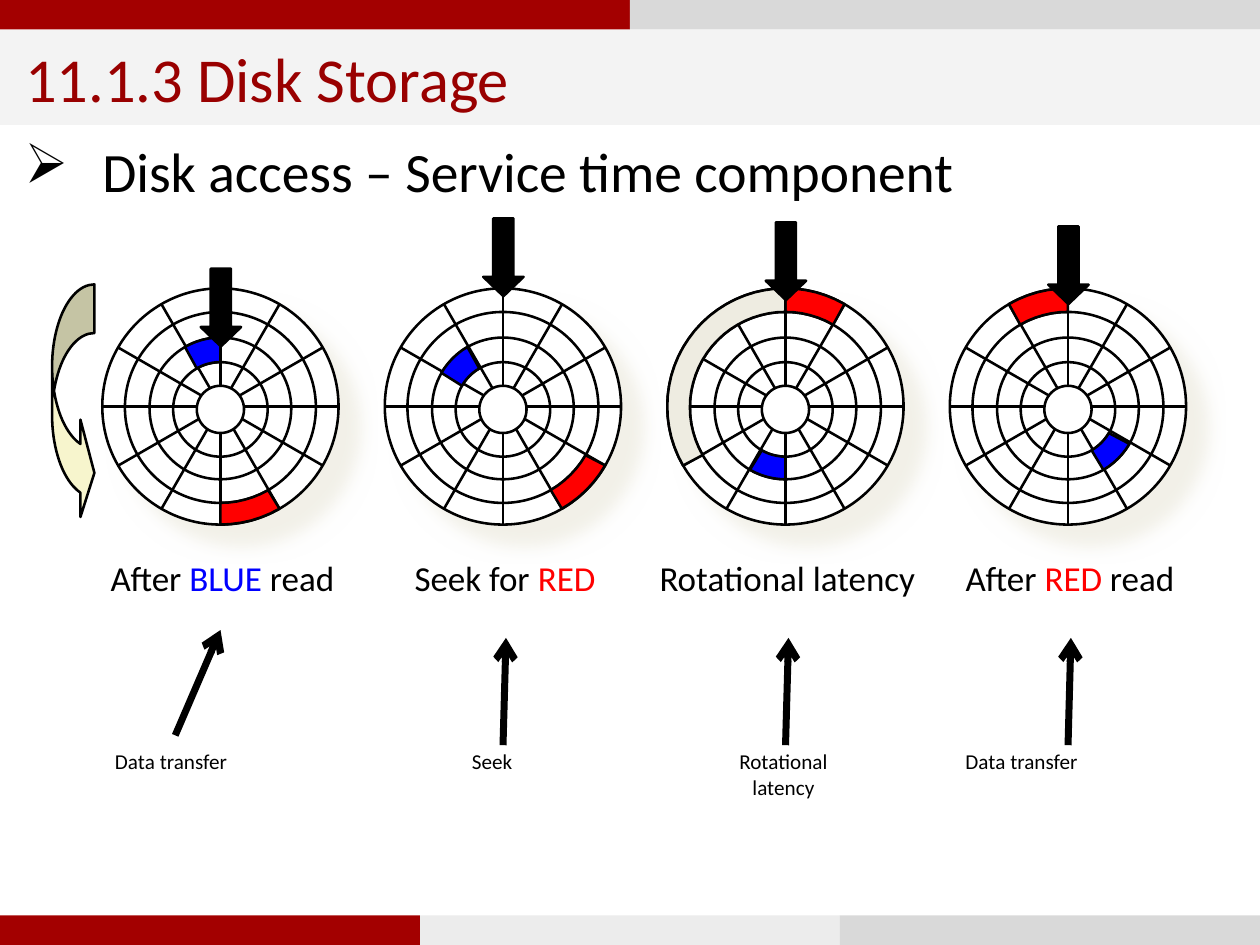
from math import cos, radians, sin

from lxml import etree
from pptx import Presentation
from pptx.dml.color import RGBColor
from pptx.enum import shapes, text
from pptx.oxml import parse_xml
from pptx.oxml.ns import qn
from pptx.util import Cm, Pt

DARK = RGBColor(0xA3, 0x00, 0x00)
TITLE = RGBColor(0x99, 0x00, 0x00)
BAND = RGBColor(0xF3, 0xF3, 0xF3)
GREY = RGBColor(0xD9, 0xD9, 0xD9)
PALE = RGBColor(0xEC, 0xEC, 0xEC)
CREAM = RGBColor(0xF7, 0xF5, 0xCD)
TAN = RGBColor(0xEE, 0xEC, 0xE1)
WHITE = RGBColor(0xFF, 0xFF, 0xFF)
BLACK = RGBColor(0x00, 0x00, 0x00)
RED = RGBColor(0xFF, 0x00, 0x00)
BLUE = RGBColor(0x00, 0x00, 0xFF)

SHADOW = (
    '<a:effectLst xmlns:a="http://schemas.openxmlformats.org/drawingml/2006/main">'
    '<a:outerShdw blurRad="63500" dist="107950" dir="2700000" algn="ctr" rotWithShape="0">'
    '<a:srgbClr val="EEECE1"><a:alpha val="75000"/></a:srgbClr>'
    '</a:outerShdw></a:effectLst>')


def paint(shape, fill, line=BLACK):
    shape.shadow.inherit = False
    shape.fill.solid()
    shape.fill.fore_color.rgb = fill
    if line is None:
        shape.line.fill.background()
    else:
        shape.line.color.rgb = line
        shape.line.width = Pt(0.75)


def stroke(home, x1, y1, x2, y2, width):
    line = home.add_connector(shapes.MSO_CONNECTOR.STRAIGHT,
                              Cm(x1), Cm(y1), Cm(x2), Cm(y2))
    line.line.color.rgb = BLACK
    line.line.width = Pt(width)
    etree.SubElement(line._element.spPr, qn("a:effectLst"))
    return line


kind = shapes.MSO_SHAPE
deck = Presentation()
deck.slide_width, deck.slide_height = Cm(12.8), Cm(9.6)
slide = deck.slides.add_slide(deck.slide_layouts[5])
board = slide.shapes

# Title and bars
title = board.title
title.left, title.top, title.width, title.height = Cm(0), Cm(0.3), Cm(12.8), Cm(0.97)
title.fill.solid()
title.fill.fore_color.rgb = BAND
frame = title.text_frame
frame.text = "11.1.3 Disk Storage"
frame.auto_size = text.MSO_AUTO_SIZE.NONE
frame.vertical_anchor = text.MSO_ANCHOR.MIDDLE
frame.paragraphs[0].alignment = text.PP_ALIGN.LEFT
font = frame.paragraphs[0].runs[0].font
font.name, font.size, font.color.rgb = "Calibri", Pt(18), TITLE

for top, hues in ((0, (DARK, GREY)), (9.3, (DARK, PALE, GREY))):
    width = 12.8 / len(hues)
    for i, hue in enumerate(hues):
        bar = board.add_shape(kind.RECTANGLE, Cm(i * width), Cm(top), Cm(width), Cm(0.3))
        paint(bar, hue, None)

# Bullet line
frame = board.add_textbox(Cm(0), Cm(1.27), Cm(12.8), Cm(0.95)).text_frame
frame.word_wrap = True
para = frame.paragraphs[0]
para.text = "Disk access – Service time component"
props = para._p.get_or_add_pPr()
props.set("marL", str(Cm(0.79)))
props.set("indent", str(-Cm(0.79)))
etree.SubElement(props, qn("a:buChar")).set("char", "➢")
font = para.runs[0].font
font.name, font.size, font.color.rgb = "Calibri", Pt(16), BLACK

# Disks: rings as (radius, centre height), sectors as (colour, outer ring, from, to)
rings = ((1.2, 4.13), (0.97, 4.14), (0.72, 4.15), (0.48, 4.16), (0.24, 4.16))
disks = (
    (2.73, ((BLUE, 2, -30, 0), (RED, 0, 150, 180))),
    (2.22, ((RED, 0, 120, 150), (BLUE, 2, -60, -30))),
    (2.26, ((RED, 0, 0, 30), (BLUE, 2, 180, 210), (TAN, 0, -120, 0))),
    (2.3, ((RED, 0, -30, 0), (BLUE, 2, 120, 150))),
)
mids = [2.24 + 2.87 * i for i in range(len(disks))]

for mid, (head, sectors) in zip(mids, disks):
    disk = board.add_group_shape().shapes
    for i, (rad, y) in enumerate(rings):
        if i == 4:
            for step in range(0, 180, 30):
                dx, dy = 1.2 * sin(radians(step)), 1.2 * cos(radians(step))
                stroke(disk, mid + dx, 4.13 - dy, mid - dx, 4.13 + dy, 0.75)
        ring = disk.add_shape(kind.OVAL, Cm(mid - rad), Cm(y - rad), Cm(2 * rad), Cm(2 * rad))
        paint(ring, WHITE)
        if i == 0:
            props = ring._element.spPr
            props.replace(props.find(qn("a:effectLst")), parse_xml(SHADOW))
    for hue, i, start, end in sectors:
        arc = range(start, end + 1, 5)
        edge = [(rings[i], a) for a in arc] + [(rings[i + 1], a) for a in reversed(arc)]
        spots = [(Cm(mid + rad * sin(radians(a))), Cm(y - rad * cos(radians(a))))
                 for (rad, y), a in edge]
        pen = disk.build_freeform(*spots[0])
        pen.add_line_segments(spots[1:], close=True)
        paint(pen.convert_to_shape(), hue)
    arrow = disk.add_shape(kind.DOWN_ARROW, Cm(mid - 0.2), Cm(head), Cm(0.41), Cm(0.79))
    arrow.adjustments[1] = 0.48
    paint(arrow, BLACK)

spin = board.add_shape(kind.CURVED_RIGHT_ARROW, Cm(0.53), Cm(2.89), Cm(0.43), Cm(2.41))
for i, value in enumerate((1.15, 2.3, 0.33)):
    spin.adjustments[i] = value
paint(spin, CREAM)

# Labels: (centre, top, size, lines of coloured runs)
stages = (
    (("After ", BLACK), ("BLUE ", BLUE), ("read", BLACK)),
    (("Seek for ", BLACK), ("RED", RED)),
    (("Rotational latency", BLACK),),
    (("After ", BLACK), ("RED", RED), (" read", BLACK)),
)
parts = ((1.74, ("Data transfer",)), (5, ("Seek",)),
         (7.96, ("Rotational", "latency")), (10.38, ("Data transfer",)))
labels = [(mid + 0.02, 5.53, 10.1, [runs]) for mid, runs in zip(mids, stages)]
labels += [(x, 7.48, 6.1, [((line, BLACK),) for line in lines]) for x, lines in parts]
for x, top, size, lines in labels:
    box = board.add_textbox(Cm(x - 1.7), Cm(top), Cm(3.4), Cm(0.69))
    frame = box.text_frame
    frame.word_wrap = True
    for i, runs in enumerate(lines):
        para = frame.add_paragraph() if i else frame.paragraphs[0]
        para.alignment = text.PP_ALIGN.CENTER
        for words, hue in runs:
            run = para.add_run()
            run.text = words
            run.font.name, run.font.size, run.font.color.rgb = "Calibri", Pt(size), hue

# Arrows from parts to stages
routes = [(1.78, 7.47, 2.24, 6.4)] + [(mid, 7.57, mid + 0.03, 6.48) for mid in mids[1:]]
for route in routes:
    line = stroke(board, *route, 2)
    etree.SubElement(line.line._get_or_add_ln(), qn("a:tailEnd")).set("type", "arrow")

deck.save("out.pptx")
